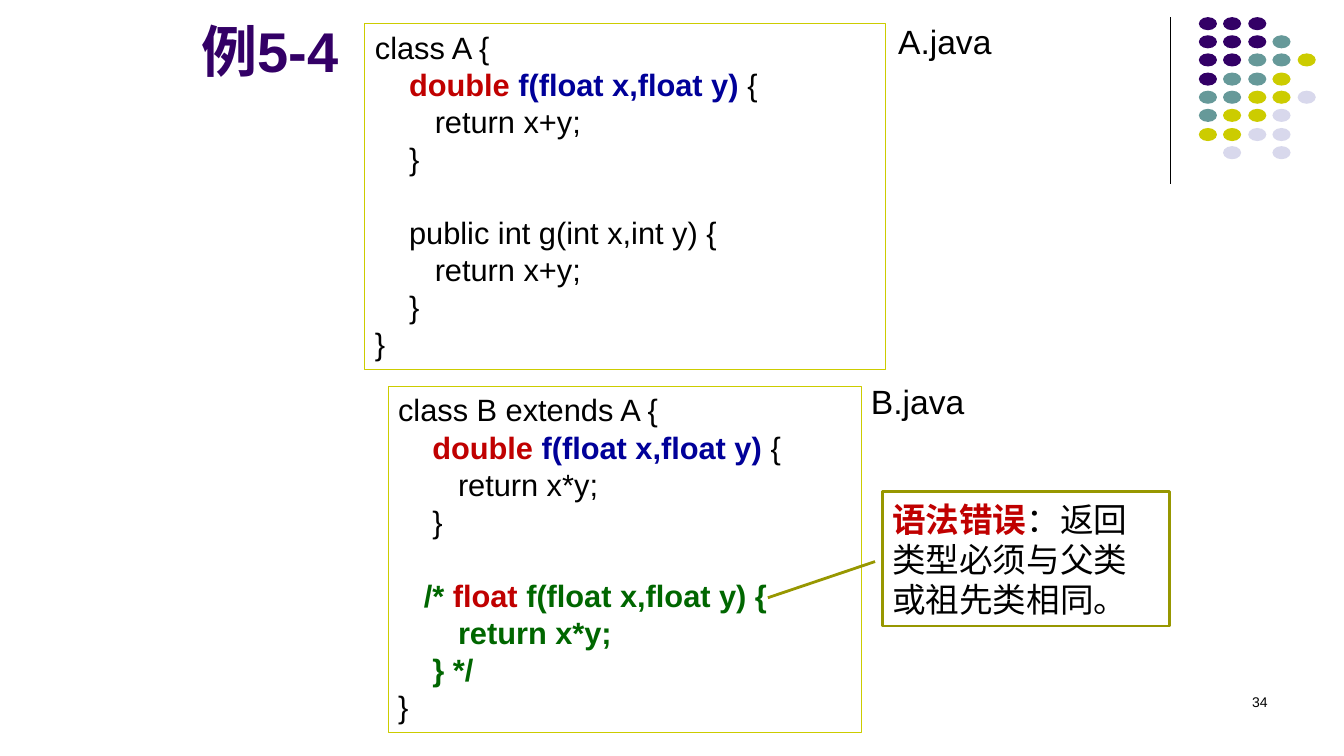
import pptx
import pptx.dml.color
import pptx.enum.shapes
import pptx.enum.text
import pptx.oxml
import pptx.util

RGBColor = pptx.dml.color.RGBColor
Shape = pptx.enum.shapes.MSO_SHAPE
Anchor = pptx.enum.text.MSO_ANCHOR
Align = pptx.enum.text.PP_ALIGN

BLACK = RGBColor(0x00, 0x00, 0x00)
PURPLE = RGBColor(0x33, 0x00, 0x66)
TEAL = RGBColor(0x66, 0x99, 0x99)
YELLOW = RGBColor(0xCC, 0xCC, 0x00)
LAVENDER = RGBColor(0xD8, 0xD8, 0xEC)
OLIVE = RGBColor(0x97, 0x97, 0x00)
RED = RGBColor(0xC0, 0x00, 0x00)
BLUE = RGBColor(0x00, 0x00, 0x99)
GREEN = RGBColor(0x00, 0x66, 0x00)

DOT_COLORS = {"p": PURPLE, "t": TEAL, "y": YELLOW, "l": LAVENDER}
DOT_ROWS = ["ppp", "pppt", "pptty", "ptty", "ttyyl", "tyyl", "yyll", ".l.l"]

# Each code line is (indent in characters, runs); None leaves a line free.
# Each run is (text, color, bold).
SIGNATURE = (4, [("double", RED, True), (" f(float x,float y) ", BLUE, True),
                 ("{", BLACK, False)])


def plain(indent, text):
    return indent, [(text, BLACK, False)]


CLASS_A = [
    plain(0, "class A {"),
    SIGNATURE,
    plain(7, "return x+y;"),
    plain(4, "}"),
    None,
    plain(4, "public int g(int x,int y) {"),
    plain(7, "return x+y;"),
    plain(4, "}"),
    plain(0, "}"),
]
CLASS_B = [
    plain(0, "class B extends A {"),
    SIGNATURE,
    plain(7, "return x*y;"),
    plain(4, "}"),
    None,
    (3, [("/* ", GREEN, True), ("float", RED, True),
         (" f(float x,float y) {", GREEN, True)]),
    (7, [("return x*y;", GREEN, True)]),
    (4, [("} */", GREEN, True)]),
    plain(0, "}"),
]


class SlideBuilder:
    FONT = "Arial"
    EMU_PER_PX = 9144
    CODE_SIZE = 22
    CODE_LINE = pptx.util.Pt(26.5)
    CODE_SPACE = pptx.util.Pt(6.11)

    def __init__(self, slide):
        self.slide = slide

    def px(self, *lengths):
        return [length * self.EMU_PER_PX for length in lengths]

    def add_runs(self, para, runs, size):
        for text, color, bold in runs:
            span = para.add_run()
            span.text = text
            span.font.name = self.FONT
            span.font.size = pptx.util.Pt(size)
            span.font.bold = bold
            span.font.color.rgb = color

    def shape(self, kind, area, fill=None, line=None, width=0.75):
        shape = self.slide.shapes.add_shape(kind, *self.px(*area))
        shape.shadow.inherit = False
        if fill is None:
            shape.fill.background()
        else:
            shape.fill.solid()
            shape.fill.fore_color.rgb = fill
        if line is None:
            shape.line.fill.background()
        else:
            shape.line.color.rgb = line
            shape.line.width = pptx.util.Pt(width)
        return shape

    def rule(self, x, top, bottom):
        line = self.slide.shapes.add_connector(
            pptx.enum.shapes.MSO_CONNECTOR.STRAIGHT, *self.px(x, top, x, bottom))
        line.line.color.rgb = BLACK
        line.line.width = pptx.util.Pt(0.75)
        properties = line._element.spPr
        properties.append(properties.makeelement(pptx.oxml.ns.qn("a:effectLst"), {}))

    def dots(self, left, top):
        for row, marks in enumerate(DOT_ROWS):
            for column, mark in enumerate(marks):
                if mark in DOT_COLORS:
                    area = (left + column * 49 // 2, top + row * 55 // 3, 18, 13)
                    self.shape(Shape.OVAL, area, fill=DOT_COLORS[mark])

    def text(self, area, text, size, color=BLACK, bold=False,
             align=Align.LEFT, anchor=Anchor.TOP):
        frame = self.slide.shapes.add_textbox(*self.px(*area)).text_frame
        frame.word_wrap = True
        frame.vertical_anchor = anchor
        para = frame.paragraphs[0]
        para.alignment = align
        self.add_runs(para, [(text, color, bold)], size)

    def code(self, area, lines):
        frame = self.shape(Shape.RECTANGLE, area, line=YELLOW).text_frame
        frame.word_wrap = True
        frame.vertical_anchor = Anchor.TOP
        para = frame.paragraphs[0]
        gap = 0
        for number, line in enumerate(lines):
            if line is None:
                gap = self.CODE_LINE
                continue
            if number:
                para = frame.add_paragraph()
            indent, runs = line
            para.alignment = Align.LEFT
            para.line_spacing = self.CODE_LINE
            para.space_before = gap
            para._p.get_or_add_pPr().set("marL", str(indent * self.CODE_SPACE))
            self.add_runs(para, runs, self.CODE_SIZE)
            gap = 0

    def callout(self, area, pointer, runs):
        box = self.shape(Shape.LINE_CALLOUT_1, area, line=OLIVE, width=2)
        for index, value in enumerate(pointer):
            box.adjustments[index] = value
        frame = box.text_frame
        frame.word_wrap = True
        frame.vertical_anchor = Anchor.MIDDLE
        para = frame.paragraphs[0]
        para.alignment = Align.LEFT
        self.add_runs(para, runs, 24)


def main():
    deck = pptx.Presentation()
    deck.slide_width, deck.slide_height = pptx.util.Inches(13.33), pptx.util.Inches(7.5)
    page = SlideBuilder(deck.slides.add_slide(deck.slide_layouts[6]))

    page.rule(1161, 17, 183)
    page.dots(1189, 17)
    page.text((190, 23, 172, 65), "例5-4", 40, PURPLE, True, anchor=Anchor.BOTTOM)
    page.code((362, 23, 516, 344), CLASS_A)
    page.text((956, 683, 311, 50), "34", 10, align=Align.RIGHT)
    page.code((385, 383, 469, 344), CLASS_B)
    page.text((881, 16, 117, 50), "A.java", 24)
    page.text((854, 373, 117, 50), "B.java", 24)
    page.callout((875, 488, 285, 133), (0.52, -0.025, 0.79, -0.398),
                 [("语法错误", RED, True),
                  ("：返回类型必须与父类或祖先类相同。", BLACK, False)])
    deck.save("out.pptx")


if __name__ == "__main__":
    main()
